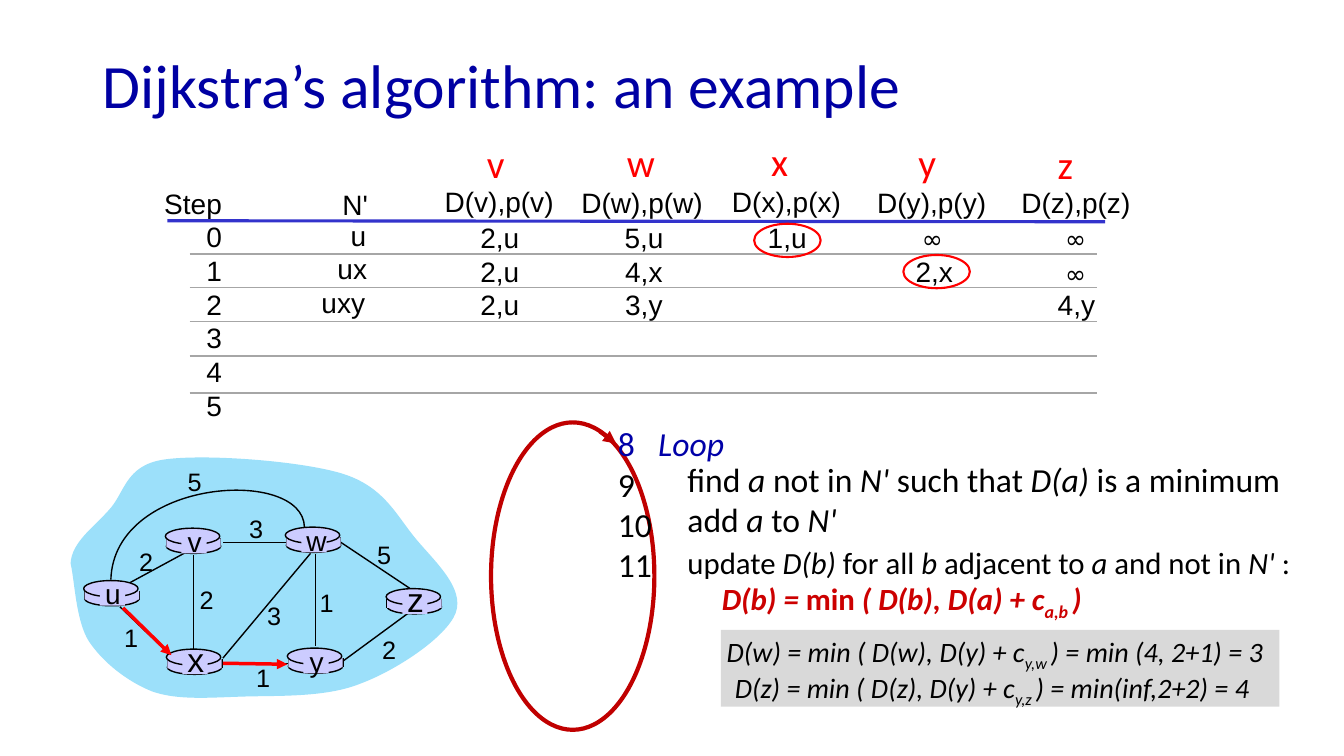
from lxml.etree import SubElement
from pptx import Presentation
from pptx.dml.color import RGBColor
from pptx.enum.shapes import MSO_CONNECTOR, MSO_SHAPE
from pptx.enum.text import MSO_ANCHOR, MSO_AUTO_SIZE, PP_ALIGN
from pptx.oxml.ns import qn
from pptx.util import Inches, Pt

LEFT, MID, RIGHT = PP_ALIGN.LEFT, PP_ALIGN.CENTER, PP_ALIGN.RIGHT
LILAC, RED, BLACK, WINE = "CCCCFF", "FF0000", "000000", "C00000"

deck = Presentation()
deck.slide_width, deck.slide_height = Inches(13.33), Inches(7.5)
slide = deck.slides.add_slide(deck.slide_layouts[5])
shapes = slide.shapes


def paint(shape, fill=None, line=None, width=1, arrow=False):
    """Set fill, outline and arrowhead, and drop the shadow."""
    if fill:
        shape.fill.solid()
        shape.fill.fore_color.rgb = RGBColor.from_string(fill)
    elif hasattr(shape, "fill"):
        shape.fill.background()
    if line:
        shape.line.color.rgb = RGBColor.from_string(line)
        shape.line.width = Pt(width)
    else:
        shape.line.fill.background()
    props = shape._element.spPr
    if arrow:
        SubElement(props.find(qn("a:ln")), qn("a:tailEnd"), type="triangle")
    if hasattr(shape, "shadow"):
        shape.shadow.inherit = False
    else:
        SubElement(props, qn("a:effectLst"))


def write(text, at=None, size=20, font="Arial", color=BLACK, align=LEFT,
          tints={}, pitch=None, box=None):
    """Write lines of text; * toggles italic and _ toggles subscript."""
    if box is None:
        box = shapes.add_textbox(*map(Inches, at))
        box.text_frame.word_wrap = False
        box.text_frame.auto_size = MSO_AUTO_SIZE.SHAPE_TO_FIT_TEXT
    frame = box.text_frame
    for row, line in enumerate(text.split("\n")):
        para = frame.add_paragraph() if row else frame.paragraphs[0]
        para.alignment = align
        if pitch:
            para.line_spacing = pitch
        for i, part in enumerate(line.split("*")):
            for j, piece in enumerate(part.split("_")):
                if not piece:
                    continue
                run = para.add_run()
                run.text = piece
                run.font.name, run.font.size = font, Pt(size)
                run.font.color.rgb = RGBColor.from_string(tints.get(row, color))
                if i % 2:
                    run.font.italic = True
                if j % 2:
                    run.font._element.set("baseline", "-25000")
    return frame


# Loop arrow
ring = shapes.add_shape(MSO_SHAPE.OVAL, *map(Inches, (4.87, 4.19, 1.62, 3.05)))
paint(ring, line=WINE, width=3)
tip = shapes.add_connector(MSO_CONNECTOR.STRAIGHT, *map(Inches, (5.95, 4.28, 6.11, 4.4)))
paint(tip, line=WINE, width=3, arrow=True)

# Title
title = shapes.title
title.left, title.top, title.width, title.height = map(Inches, (0.92, 0.39, 12.23, 0.98))
title.text_frame.vertical_anchor = MSO_ANCHOR.MIDDLE
write("Dijkstra’s algorithm: an example", size=44, font="Calibri",
      color="0000A3", pitch=0.9, box=title)

# Distance table: headings
write("Step\n0\n1\n2\n3\n4\n5", (1.53, 1.8, 0.77, 2.43), align=RIGHT, pitch=Pt(24))
write("N'", (3.29, 1.81, 0.46, 0.44), align=RIGHT)
heads = [("v", 4.73, 1.33, 4.3, 1.78, 1.29), ("w", 6.12, 1.32, 5.65, 1.79, 1.42),
         ("x", 7.55, 1.31, 7.15, 1.78, 1.29), ("y", 9.01, 1.32, 8.59, 1.79, 1.29),
         ("z", 10.39, 1.34, 10.02, 1.79, 1.29)]
for name, x, y, left, top, wide in heads:
    write(name, (x, y, 0.38, 0.57), size=28, font="Calibri", color=RED)
    write(f"D({name}),p({name})", (left, top, wide, 0.44), align=RIGHT)

# Distance table: rules
rules = [(1.66, 2.19, 10.96, 2.2, "3333CC", 2.25)]
rules += [(1.88, y, 10.88, y, "A6A6A6", 1) for y in (2.52, 2.85, 3.19, 3.53, 3.9)]
for *ends, color, width in rules:
    rule = shapes.add_connector(MSO_CONNECTOR.STRAIGHT, *map(Inches, ends))
    paint(rule, line=color, width=width)

# Distance table: known nodes, then values set by their right edge
for name, left, top, wide in [("u", 3.37, 2.12, 0.36), ("ux", 3.24, 2.45, 0.5),
                              ("uxy", 3.08, 2.78, 0.64)]:
    write(name, (left, top, wide, 0.44), align=RIGHT)
rows = [(2.14, [("2,u", 5.25), ("5,u", 6.68), ("1,u", 8.1), ("∞", 9.45), ("∞", 10.87)]),
        (2.48, [("2,u", 5.25), ("4,x", 6.67), ("2,x", 9.55), ("∞", 10.87)]),
        (2.8, [("2,u", 5.25), ("3,y", 6.67), ("4,y", 10.96)])]
for top, cells in rows:
    for text, edge in cells:
        if text == "∞":
            write(text, (edge - 0.41, top + 0.03, 0.41, 0.4), size=18,
                  font="Comic Neue", align=RIGHT)
        else:
            write(text, (edge - 0.59, top, 0.59, 0.44), align=RIGHT)

# Rings around the chosen values
for x, y in [(7.48, 2.22), (8.96, 2.53)]:
    mark = shapes.add_shape(MSO_SHAPE.OVAL, *map(Inches, (x, y, 0.66, 0.33)))
    paint(mark, line=RED, width=1.5)

# Cloud and the curved u-w link, as Bezier segments within a frame
cloud = [(0.71, 5.38, 0.93, 5.23, 1.08, 5.06), (1.24, 4.89, 1.24, 4.62, 1.62, 4.56),
         (2.01, 4.5, 2.98, 4.57, 3.4, 4.7), (3.81, 4.83, 3.93, 5.11, 4.12, 5.34),
         (4.31, 5.57, 4.61, 5.83, 4.52, 6.08), (4.43, 6.32, 3.93, 6.65, 3.58, 6.78),
         (3.24, 6.92, 2.77, 6.9, 2.43, 6.91), (2.08, 6.92, 1.77, 6.95, 1.51, 6.86),
         (1.26, 6.76, 1.02, 6.57, 0.88, 6.36), (0.75, 6.15, 0.74, 5.75, 0.7, 5.59)]
arc = [(3.01, 4.63, 1.13, 4.74, 1.1, 5.75)]
for area, start, curves, fill, line in [
        ((0.7, 4.5, 4.61, 6.95), (0.7, 5.59), cloud, "9CE0FA", None),
        ((1.1, 4.63, 3.03, 5.75), (3.02, 5.23), arc, None, BLACK)]:
    left, top, right, low = map(Inches, area)
    pen = shapes.build_freeform(left, top)
    pen.add_line_segments([(right, low)], close=False)
    curve = pen.convert_to_shape()
    route = next(curve._element.iter(qn("a:path")))
    for step in list(route):
        route.remove(step)
    for tag, nums in [("a:moveTo", start)] + [("a:cubicBezTo", c) for c in curves]:
        step = SubElement(route, qn(tag))
        for x, y in zip(nums[::2], nums[1::2]):
            SubElement(step, qn("a:pt"), x=str(Inches(x) - left), y=str(Inches(y) - top))
    if fill:
        SubElement(route, qn("a:close"))
    paint(curve, fill, line)

# Straight links
links = [(1.29, 5.78, 1.88, 5.46), (3.13, 5.5, 3.13, 6.41), (1.92, 5.51, 1.92, 6.45),
         (2.21, 6.53, 3.08, 5.49), (3.4, 6.56, 4.04, 6.09), (2.86, 6.58, 2.22, 6.58),
         (1.67, 6.48, 1.19, 6.02), (2.85, 5.38, 2.21, 5.38), (4.07, 5.84, 3.38, 5.38)]
for ends in links:
    link = shapes.add_connector(MSO_CONNECTOR.STRAIGHT, *map(Inches, ends))
    paint(link, line=BLACK)

# Routers
nodes = [("u", 0.84, 5.86, 20), ("x", 1.66, 6.54, 24), ("v", 1.65, 5.34, 20),
         ("w", 2.84, 5.33, 20), ("y", 2.86, 6.53, 20), ("z", 3.84, 5.94, 24)]
for name, x, y, size in nodes:
    base = shapes.add_shape(MSO_SHAPE.OVAL, *map(Inches, (x, y + 0.01, 0.54, 0.14)))
    paint(base, LILAC, BLACK)
    for side in (x, x + 0.54):
        wall = shapes.add_connector(MSO_CONNECTOR.STRAIGHT,
                                    *map(Inches, (side, y, side, y + 0.09)))
        paint(wall, line=BLACK)
    body = shapes.add_shape(MSO_SHAPE.RECTANGLE, *map(Inches, (x, y, 0.54, 0.09)))
    paint(body, LILAC)
    lid = shapes.add_shape(MSO_SHAPE.OVAL, *map(Inches, (x - 0.01, y - 0.1, 0.54, 0.16)))
    paint(lid, LILAC, BLACK)
    patch = shapes.add_shape(MSO_SHAPE.RECTANGLE,
                             *map(Inches, (x + 0.15, y - 0.08, 0.25, 0.23)))
    paint(patch, LILAC)
    rise, high = (0.19, 0.43) if size == 20 else (0.25, 0.5)
    write(name, (x + 0.1, y - rise, 0.36, high), size=size, align=MID)

# Link costs
costs = [("2", 1.28, 5.37), ("2", 1.88, 5.75), ("1", 1.13, 6.12), ("3", 2.55, 5.91),
         ("1", 2.44, 6.52), ("1", 3.07, 5.78), ("2", 3.69, 6.24), ("5", 3.64, 5.3),
         ("3", 2.37, 5.04), ("5", 1.76, 4.58)]
for cost, x, y in costs:
    write(cost, (x, y, 0.34, 0.4), size=18, align=MID)

# Shortest links found so far
for ends in [(1.22, 6.03, 1.7, 6.5), (2.21, 6.58, 2.85, 6.59)]:
    hop = shapes.add_connector(MSO_CONNECTOR.STRAIGHT, *map(Inches, ends))
    paint(hop, line=RED, width=2.5, arrow=True)

# Loop steps
steps = write("8\t*Loop*\n9\n10\n11", (6.03, 4.15, 1.34, 1.73), size=24,
              font="Calibri", tints={0: "0000A8"})
tabs = SubElement(steps.paragraphs[0]._p.get_or_add_pPr(), qn("a:tabLst"))
SubElement(tabs, qn("a:tab"), pos=str(Inches(0.4)), algn="l")
write("find *a* not in *N' *such that *D(a) *is a minimum\nadd *a* to *N'*",
      (6.72, 4.5, 6.33, 0.9), size=24, font="Calibri")
update = write("update *D(b) *for all *b* adjacent to *a* and not in *N' *:\n"
               "*D(b) = *min* ( D(b), D(a) + c_a,b _)*",
               (6.72, 5.34, 6.31, 0.84), size=22, font="Calibri", tints={1: "CC0000"})
update.paragraphs[1]._p.get_or_add_pPr().set("marL", str(Inches(0.34)))
for run in update.paragraphs[1].runs:
    run.font.bold = True

# Worked distances
panel = shapes.add_shape(MSO_SHAPE.RECTANGLE, *map(Inches, (7.15, 6.25, 5.54, 0.76)))
paint(panel, "D9D9D9")
write("*D(w) = min ( D(w), D(y) + c_y,w _) = min (4, 2+1) = 3*",
      (7.11, 6.25, 5.67, 0.44), font="Calibri")
write("*D(z) = min ( D(z), D(y) + c_y,z _) = min(inf,2+2) = 4*",
      (7.19, 6.6, 5.52, 0.44), font="Calibri")

deck.save("out.pptx")
